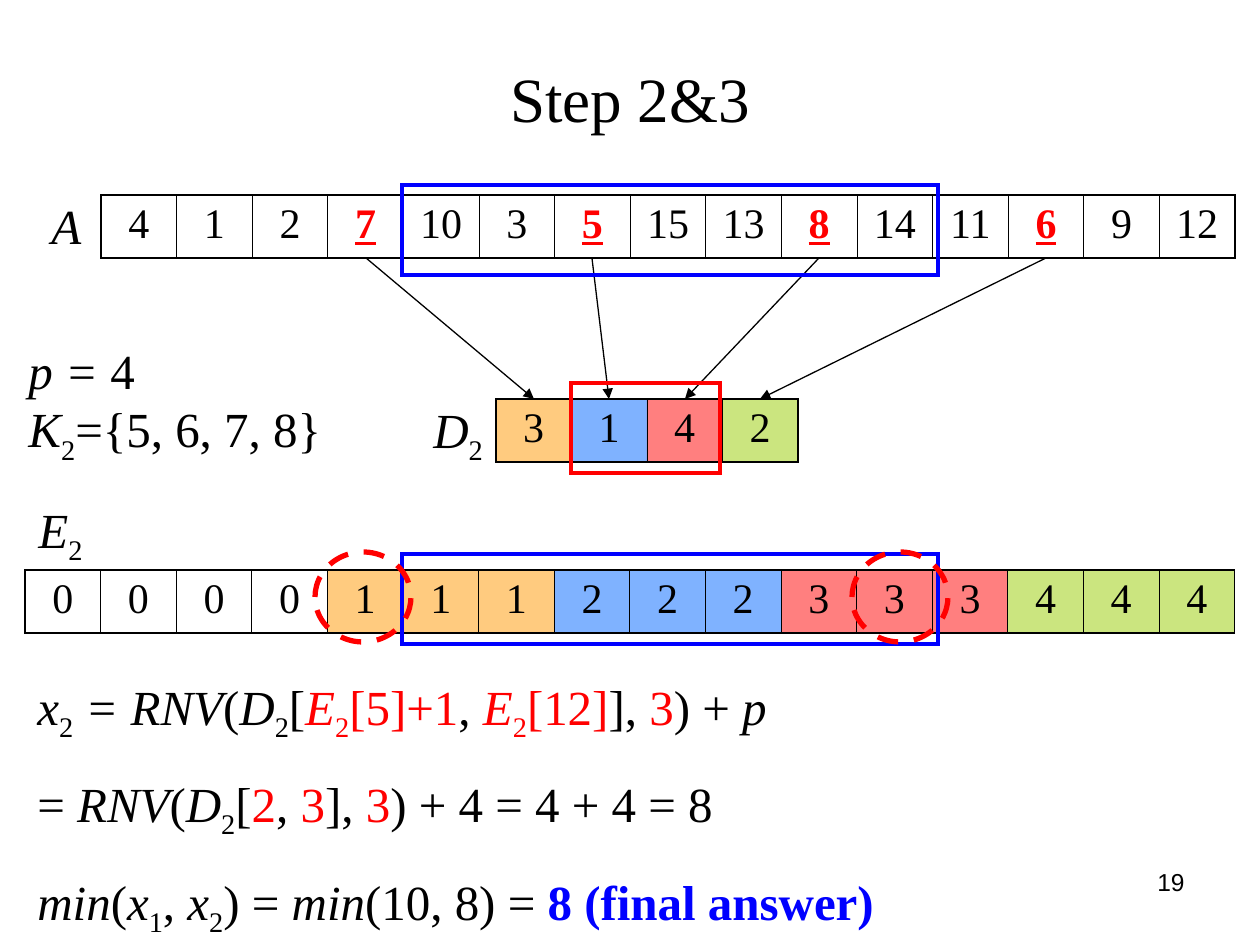
import pptx
import pptx.util
import pptx.dml.color
import pptx.enum.dml
import pptx.enum.shapes
import pptx.enum.text
import pptx.oxml
import pptx.oxml.ns

SCALE = 914400 / 126
SERIF = "Times New Roman"
BLACK, RED, BLUE = "000000", "FF0000", "0000FF"
GROUP_FILLS = {1: "FF9900", 2: "0066FF", 3: "FF0000", 4: "99CC00"}

ARRAY_A = [4, 1, 2, 7, 10, 3, 5, 15, 13, 8, 14, 11, 6, 9, 12]
SAMPLES = [3, 6, 9, 12]
SAMPLE_FORMAT = {"color": RED, "bold": True, "underline": True}
ARRAY_D = [3, 1, 4, 2]
ARRAY_E = [0] * 4 + [g for g in GROUP_FILLS for _ in range(3)]

A_BOX = (101, 195, 1134, 63)
D_BOX = (496, 399, 302, 63)
E_BOX = (25, 570, 1210, 63)

# Each run is (text, flags): i italic, s subscript, r red, b bold blue
LABELS = [
    ((39, 189, 58, 72), [[("A", "i")]]),
    ((421, 393, 80, 79), [[("D", "i"), ("2", "s")]]),
    ((26, 493, 75, 79), [[("E", "i"), ("2", "s")]]),
    ((16, 334, 322, 139), [
        [("p = ", "i"), ("4", "")],
        [("K", "i"), ("2", "s"), ("={5, 6, 7, 8}", "")],
    ]),
]
FORMULAS = [
    [("x", "i"), ("2", "s"), (" = RNV", "i"), ("(", ""), ("D", "i"), ("2", "s"),
     ("[", ""), ("E", "ir"), ("2", "sr"), ("[5]+1", "r"), (", ", ""),
     ("E", "ir"), ("2", "sr"), ("[12]", "r"), ("], ", ""), ("3", "r"),
     (") + ", ""), ("p", "i")],
    [("= ", ""), ("RNV", "i"), ("(", ""), ("D", "i"), ("2", "s"), ("[", ""),
     ("2", "r"), (", ", ""), ("3", "r"), ("], ", ""), ("3", "r"),
     (") + 4 = 4 + 4 = 8", "")],
    [("min", "i"), ("(", ""), ("x", "i"), ("1", "s"), (", ", ""), ("x", "i"),
     ("2", "s"), (") = ", ""), ("min", "i"), ("(10, 8) = ", ""),
     ("8 (final answer)", "b")],
]


def px(*values):
    return [pptx.util.Emu(round(v * SCALE)) for v in values]


def rgb(value):
    return pptx.dml.color.RGBColor.from_string(value)


def add_xml(parent, tag, attributes="", content=""):
    ns = pptx.oxml.ns.nsdecls("a")
    parent.append(pptx.oxml.parse_xml(
        f"<a:{tag} {ns} {attributes}>{content}</a:{tag}>"))


def add_run(p, text, size, color=BLACK, name=SERIF, **formats):
    r = p.add_run()
    r.text = text
    formats.update(size=pptx.util.Pt(size), name=name)
    for key, value in formats.items():
        setattr(r.font, key, value)
    r.font.color.rgb = rgb(color)
    return r


def add_rich_text(s, box, paragraphs, wrap=False, gap=0):
    """Add 28 pt paragraphs made of flagged runs, gap points apart."""
    tf = s.shapes.add_textbox(*px(*box)).text_frame
    tf.word_wrap = wrap
    for i, runs in enumerate(paragraphs):
        p = tf.add_paragraph() if i else tf.paragraphs[0]
        if i:
            p.space_before = pptx.util.Pt(gap)
        for text, flags in runs:
            color = RED if "r" in flags else BLUE if "b" in flags else BLACK
            r = add_run(p, text, 28, color, italic="i" in flags, bold="b" in flags)
            if "s" in flags:
                r.font._element.set("baseline", "-25000")


def set_borders(cell, first, last):
    """Draw thin inner sides and thicker outer sides."""
    thick = {"L": first, "R": last, "T": True, "B": True}
    for side, outer in thick.items():
        width = pptx.util.Pt(1.08 if outer else 0.45)
        add_xml(cell._tc.get_or_add_tcPr(), f"ln{side}", f'w="{width}"',
                f'<a:solidFill><a:srgbClr val="{BLACK}"/></a:solidFill>')


def fill_half_clear(cell, color):
    cell.fill.solid()
    cell.fill.fore_color.rgb = rgb(color)
    solid = cell._tc.tcPr.find(pptx.oxml.ns.qn("a:solidFill"))
    add_xml(solid[0], "alpha", 'val="50000"')


def add_array(s, box, values, fills, marked=()):
    """Add a one-row table; a fill of None leaves its cell clear."""
    n = len(values)
    table = s.shapes.add_table(1, n, *px(*box)).table
    table.first_row = table.horz_banding = False
    for i, (value, fill) in enumerate(zip(values, fills)):
        table.columns[i].width = px(box[2] / n)[0]
        cell = table.cell(0, i)
        set_borders(cell, i == 0, i == n - 1)
        if fill:
            fill_half_clear(cell, fill)
        else:
            cell.fill.background()
        p = cell.text_frame.paragraphs[0]
        p.alignment = pptx.enum.text.PP_ALIGN.CENTER
        add_run(p, str(value), 24, **(SAMPLE_FORMAT if i in marked else {}))


def cell_center(box, values, i):
    return round(box[0] + box[2] / len(values) * (i + 0.5))


def add_arrow(s, x1, y1, x2, y2):
    line = s.shapes.add_connector(pptx.enum.shapes.MSO_CONNECTOR.STRAIGHT,
                                  *px(x1, y1, x2, y2))
    line.line.width = pptx.util.Pt(0.75)
    line.line.color.rgb = rgb(BLACK)
    add_xml(line.line._get_or_add_ln(), "tailEnd", 'type="triangle"')
    add_xml(line._element.spPr, "effectLst")


def add_outline(s, kind, box, color, width, dash=None):
    sp = s.shapes.add_shape(kind, *px(*box))
    sp.shadow.inherit = False
    sp.fill.background()
    sp.line.color.rgb = rgb(color)
    sp.line.width = pptx.util.Pt(width)
    if dash:
        sp.line.dash_style = dash
    add_xml(sp.line._get_or_add_ln(), "miter", 'lim="800000"')


def add_title(s, text):
    sp = s.shapes.title
    sp.left, sp.top, sp.width, sp.height = px(63, 18, 1134, 158)
    tf = sp.text_frame
    tf.vertical_anchor = pptx.enum.text.MSO_ANCHOR.MIDDLE
    p = tf.paragraphs[0]
    p.alignment = pptx.enum.text.PP_ALIGN.CENTER
    add_run(p, text, 36)


def add_page_number(s, text):
    tf = s.shapes.add_textbox(*px(903, 861, 294, 66)).text_frame
    tf.word_wrap = True
    p = tf.paragraphs[0]
    p.alignment = pptx.enum.text.PP_ALIGN.RIGHT
    add_run(p, text, 14, name="Arial")


def main():
    prs = pptx.Presentation()
    prs.slide_width, prs.slide_height = px(1260, 945)
    s = prs.slides.add_slide(prs.slide_layouts[5])
    add_title(s, "Step 2&3")

    add_array(s, A_BOX, ARRAY_A, [None] * len(ARRAY_A), SAMPLES)
    add_array(s, D_BOX, ARRAY_D, GROUP_FILLS.values())
    add_array(s, E_BOX, ARRAY_E, [GROUP_FILLS.get(v) for v in ARRAY_E])
    for i, sample in enumerate(SAMPLES):
        add_arrow(s, cell_center(A_BOX, ARRAY_A, sample), A_BOX[1] + A_BOX[3],
                  cell_center(D_BOX, ARRAY_D, i), D_BOX[1])

    for box, paragraphs in LABELS:
        add_rich_text(s, box, paragraphs)
    add_rich_text(s, (25, 670, 1121, 275), FORMULAS, wrap=True, gap=17.5)

    shapes = pptx.enum.shapes.MSO_SHAPE
    for box, color in [((402, 554, 536, 90), BLUE), ((571, 383, 149, 90), RED),
                       ((402, 185, 536, 90), BLUE)]:
        add_outline(s, shapes.RECTANGLE, box, color, 2.5)
    for x in (315, 852):
        add_outline(s, shapes.OVAL, (x, 552, 96, 90), RED, 3,
                    pptx.enum.dml.MSO_LINE.DASH)
    add_page_number(s, "19")
    prs.save("out.pptx")


if __name__ == "__main__":
    main()
